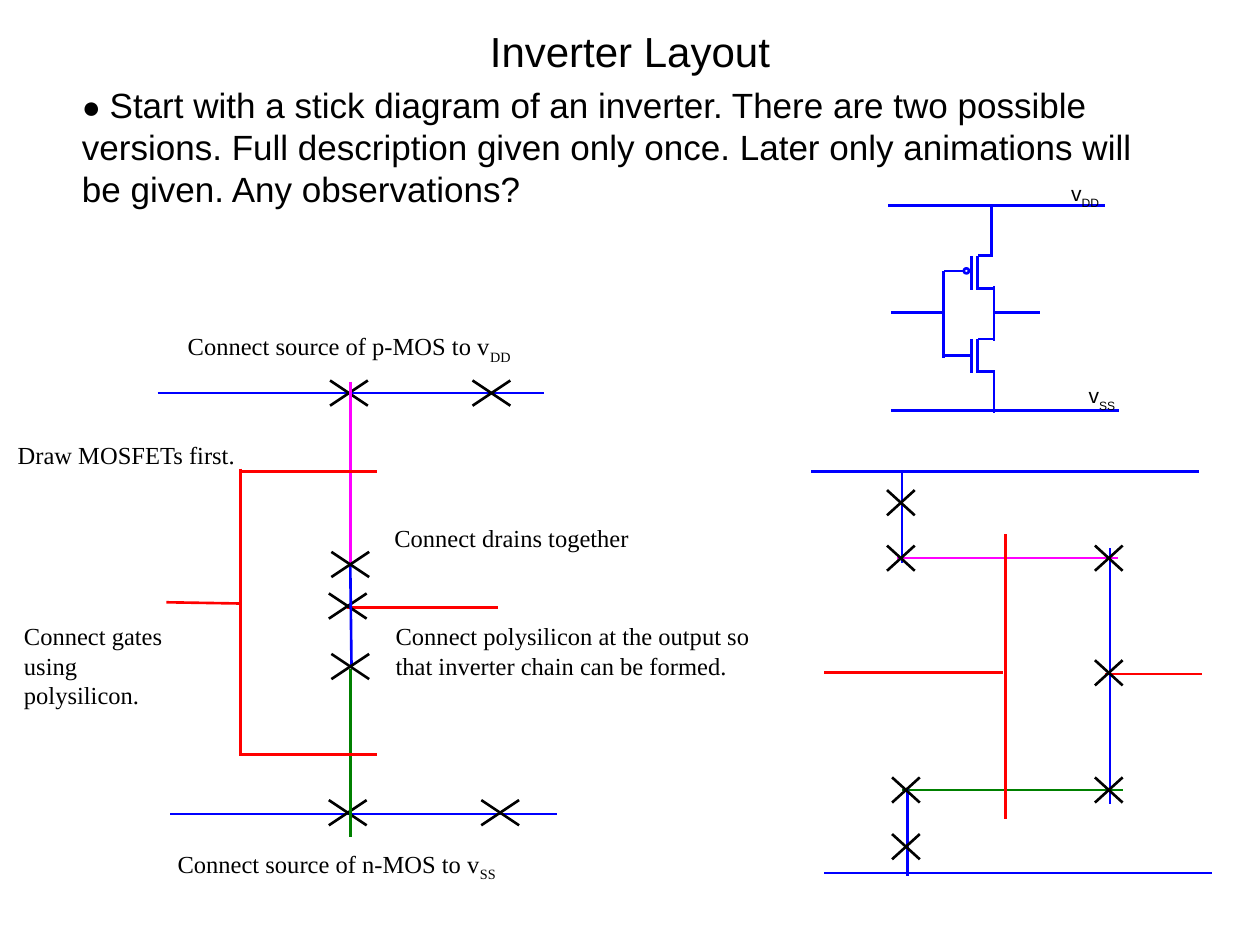
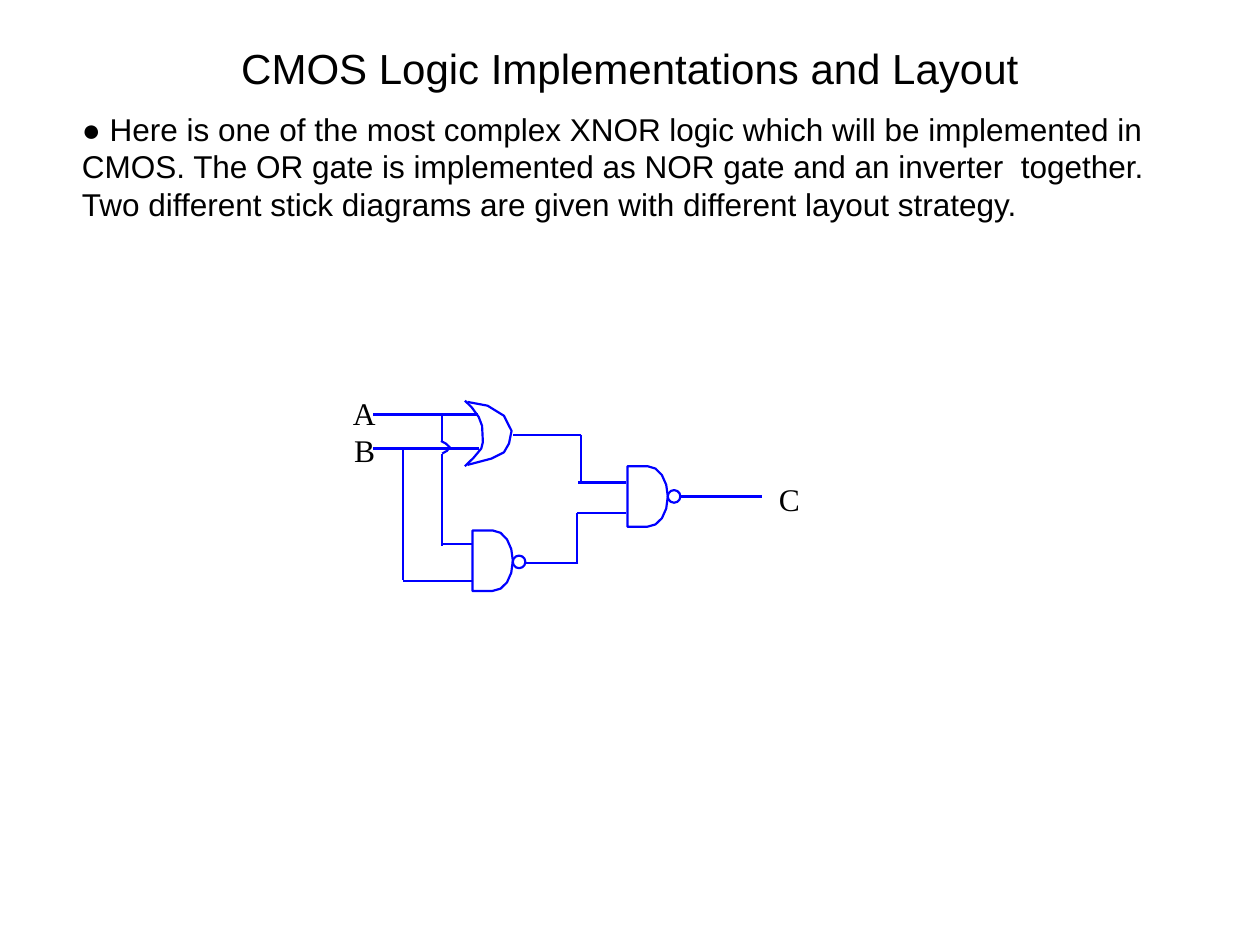
from dataclasses import dataclass

from lxml.etree import SubElement
from pptx import Presentation
from pptx.dml.color import RGBColor
from pptx.enum.shapes import MSO_CONNECTOR, MSO_SHAPE
from pptx.enum.text import MSO_ANCHOR, MSO_AUTO_SIZE, PP_ALIGN
from pptx.oxml.ns import qn
from pptx.util import Inches, Pt


@dataclass(frozen=True)
class Style:
    """Typeface, size and subscript drop of one kind of text."""

    face: str
    size: int
    drop: int = 0


@dataclass(frozen=True)
class Theme:
    """Colours, type and line weights shared by both slides."""

    black: RGBColor = RGBColor(0, 0, 0)
    white: RGBColor = RGBColor(255, 255, 255)
    metal: RGBColor = RGBColor(0, 0, 255)
    poly: RGBColor = RGBColor(255, 0, 0)
    pdiff: RGBColor = RGBColor(255, 0, 255)
    ndiff: RGBColor = RGBColor(0, 128, 0)
    title: Style = Style("Arial", 24)
    lead: Style = Style("Arial", 20)
    text: Style = Style("Arial", 18)
    rail: Style = Style("Arial", 12, -30)
    note: Style = Style("Times New Roman", 14, -25)
    port: Style = Style("Times New Roman", 18)
    stick: float = 1.5
    gate: float = 1.25


THEME = Theme()


def write(para, text, style, sub=False):
    """Add one run in a style, lowered when it is a subscript."""
    run = para.add_run()
    run.text = text
    run.font.name = style.face
    run.font.size = Pt(style.size)
    run.font.color.rgb = THEME.black
    if sub:
        run.font._element.set("baseline", str(style.drop * 1000))


def place(shape, left, top, width, height):
    """Move and size a shape in inches."""
    shape.left, shape.top = Inches(left), Inches(top)
    shape.width, shape.height = Inches(width), Inches(height)


def fill_in(shape, box, runs, align):
    """Place a placeholder and write its single paragraph."""
    place(shape, *box)
    frame = shape.text_frame
    frame.auto_size = MSO_AUTO_SIZE.NONE
    frame.vertical_anchor = MSO_ANCHOR.TOP
    para = frame.paragraphs[0]
    props = para._p.get_or_add_pPr()
    props.set("marL", "0")
    props.set("indent", "0")
    SubElement(props, qn("a:buNone"))
    para.alignment = align
    para.space_before = Pt(0)
    for text, style in runs:
        write(para, text, style)


def add_page(deck, title, top, body, body_top, height, style):
    """Add a slide with its title and bulleted statement."""
    slide = deck.slides.add_slide(deck.slide_layouts[1])
    fill_in(slide.shapes.title, (0.36, top, 9.28, 0.5),
            [(title, THEME.title)], PP_ALIGN.CENTER)
    fill_in(slide.placeholders[1], (0.55, body_top, 8.72, height),
            [("● ", THEME.text), (body, style)], PP_ALIGN.LEFT)
    return slide


def label(pen, box, lines, style, sub="", wrap=True):
    """Add a text box without margins, ending in an optional subscript."""
    frame = pen.add_textbox(*map(Inches, box)).text_frame
    frame.word_wrap = wrap
    frame.margin_left = frame.margin_right = 0
    frame.margin_top = frame.margin_bottom = 0
    for index, text in enumerate(lines):
        para = frame.add_paragraph() if index else frame.paragraphs[0]
        para.alignment = PP_ALIGN.LEFT if wrap else PP_ALIGN.CENTER
        write(para, text, style)
    if sub:
        write(para, sub, style, True)


def wires(pen, color, weight, *ends):
    """Draw straight lines, each given as x1, y1, x2, y2."""
    for end in ends:
        line = pen.add_connector(MSO_CONNECTOR.STRAIGHT, *map(Inches, end))
        line.line.color.rgb = color
        line.line.width = Pt(weight)
        SubElement(line._element.spPr, qn("a:effectLst"))


def cross(pen, wide, *spots):
    """Draw contact crosses of a half width around their centres."""
    for x, y in spots:
        wires(pen, THEME.black, THEME.stick,
              (x - wide, y + 0.1, x + wide, y - 0.1),
              (x - wide, y - 0.1, x + wide, y + 0.1))


def ink(shape, weight, solid):
    """Give an outline the metal colour and a white or empty fill."""
    shape.shadow.inherit = False
    shape.line.color.rgb = THEME.metal
    shape.line.width = Pt(weight)
    if solid:
        shape.fill.solid()
        shape.fill.fore_color.rgb = THEME.white
    else:
        shape.fill.background()


def dot(pen, x, y, size, weight):
    """Draw an inverting bubble from its left and top."""
    box = map(Inches, (x, y, size, size))
    ink(pen.add_shape(MSO_SHAPE.OVAL, *box), weight, True)


def bend(knots, steps):
    """Return points along joined cubic curves."""
    points = [knots[0]]
    for at in range(0, len(knots) - 1, 3):
        a, b, c, d = knots[at:at + 4]
        for step in range(1, steps + 1):
            t = step / steps
            u = 1 - t
            points.append(tuple(
                u**3 * p + 3 * u * u * t * q + 3 * u * t * t * r + t**3 * s
                for p, q, r, s in zip(a, b, c, d)))
    return points


def trace(pen, points, close=False):
    """Draw a freeform through points."""
    spots = [(Inches(x), Inches(y)) for x, y in points]
    form = pen.build_freeform(*spots[0])
    form.add_line_segments(spots[1:], close=close)
    ink(form.convert_to_shape(), THEME.gate, close)


def nand(pen, x, y, drop):
    """Draw a NAND gate with its bubble a drop below the top."""
    knots = [(0.16, 0), (0.25, 0), (0.32, 0.11), (0.32, 0.24),
             (0.32, 0.38), (0.25, 0.48), (0.16, 0.48)]
    curve = bend([(x + dx, y + dy) for dx, dy in knots], 4)
    trace(pen, curve + [(x, y + 0.48), (x, y)], True)
    dot(pen, x + 0.32, y + drop, 0.1, THEME.gate)


def fet(pen, y):
    """Draw the channel, gate bar and leads of one transistor."""
    wires(pen, THEME.metal, THEME.stick,
          (7.88, y, 7.76, y), (7.76, y, 7.76, y + 0.27),
          (7.88, y + 0.26, 7.76, y + 0.26), (7.71, y, 7.71, y + 0.27))


def circuit(pen):
    """Draw the transistor circuit of the inverter."""
    wires(pen, THEME.metal, THEME.stick,
          (7.05, 1.63, 8.77, 1.63), (7.87, 1.62, 7.87, 2.04),
          (7.89, 2.27, 7.89, 2.71), (7.89, 2.94, 7.89, 3.28),
          (7.07, 3.26, 8.88, 3.26), (7.64, 2.15, 7.49, 2.15),
          (7.49, 2.15, 7.49, 2.84), (7.49, 2.82, 7.71, 2.82),
          (7.49, 2.48, 7.07, 2.48), (7.89, 2.48, 8.25, 2.48))
    for y in (2.03, 2.69):
        fet(pen, y)
    dot(pen, 7.65, 2.13, 0.04, THEME.stick)
    label(pen, (8.5, 1.43, 0.25, 0.17), ["v"], THEME.rail, "DD")
    label(pen, (8.64, 3.04, 0.25, 0.17), ["v"], THEME.rail, "SS")


def upright(pen):
    """Draw the stick diagram with vertical diffusion."""
    wide = THEME.stick
    wires(pen, THEME.poly, wide, (2.75, 4.82, 3.95, 4.82))
    wires(pen, THEME.metal, wide, (1.25, 3.12, 4.32, 3.12),
          (1.35, 6.46, 4.42, 6.46))
    cross(pen, 0.15, (2.77, 3.12), (3.9, 3.12), (2.76, 4.81),
          (2.76, 6.45), (3.97, 6.45))
    wires(pen, THEME.pdiff, wide, (2.78, 3.03, 2.78, 4.49))
    wires(pen, THEME.ndiff, wide, (2.78, 6.64, 2.78, 5.31))
    wires(pen, THEME.poly, wide, (2.99, 3.74, 1.9, 3.74),
          (2.99, 5.99, 1.9, 5.99), (1.91, 3.72, 1.91, 5.99),
          (1.91, 4.79, 1.32, 4.78))
    wires(pen, THEME.metal, wide, (2.78, 4.48, 2.79, 5.29))
    cross(pen, 0.15, (2.78, 4.48), (2.78, 5.29))
    notes = [
        ((1.49, 2.63, 3, 0.31), ["Connect source of p-MOS to v"], "DD"),
        ((1.41, 6.74, 3, 0.31), ["Connect source of n-MOS to v"], "SS"),
        ((3.13, 4.15, 2.03, 0.31), ["Connect drains together"], ""),
        ((3.14, 4.93, 3, 0.52), ["Connect polysilicon at the output so "
                                 "that inverter chain can be formed."], ""),
        ((0.14, 3.49, 1.81, 0.37), ["Draw MOSFETs first."], ""),
        ((0.19, 4.93, 1.38, 0.55),
         ["Connect gates", "using polysilicon."], ""),
    ]
    for box, lines, sub in notes:
        label(pen, box, lines, THEME.note, sub)


def level(pen):
    """Draw the stick diagram with horizontal diffusion."""
    wide = THEME.stick
    wires(pen, THEME.pdiff, wide, (7.12, 4.43, 8.87, 4.43))
    wires(pen, THEME.ndiff, wide, (7.16, 6.27, 8.91, 6.27))
    wires(pen, THEME.poly, wide, (7.98, 4.24, 7.98, 6.5),
          (7.96, 5.34, 6.54, 5.34), (8.77, 5.35, 9.54, 5.35))
    wires(pen, THEME.metal, wide, (6.44, 3.74, 9.52, 3.74),
          (7.16, 3.74, 7.16, 4.47), (6.54, 6.93, 9.62, 6.93),
          (7.2, 6.26, 7.2, 6.95), (8.81, 4.35, 8.81, 6.38))
    cross(pen, 0.11, (7.15, 3.99), (7.15, 4.43), (7.19, 6.27), (7.19, 6.72),
          (8.8, 4.43), (8.8, 5.34), (8.8, 6.27))


def logic(pen):
    """Draw the XNOR gate network."""
    nand(pen, 3.75, 4.21, 0.2)
    nand(pen, 4.98, 3.7, 0.19)
    wires(pen, THEME.metal, THEME.gate,
          (3.79, 3.29, 2.96, 3.29), (3.8, 3.56, 2.96, 3.56),
          (4.61, 3.45, 4.07, 3.45), (4.61, 3.45, 4.61, 3.83),
          (4.97, 3.83, 4.59, 3.83), (4.97, 4.07, 4.58, 4.07),
          (4.58, 4.07, 4.58, 4.47), (4.59, 4.47, 4.17, 4.47),
          (3.75, 4.32, 3.51, 4.32), (3.51, 4.33, 3.51, 3.6),
          (3.51, 3.51, 3.51, 3.3), (3.75, 4.61, 3.2, 4.61),
          (3.2, 4.6, 3.2, 3.55), (5.4, 3.94, 6.05, 3.94))
    front = [(3.71, 3.19), (3.74, 3.19), (3.82, 3.2), (3.87, 3.22),
             (3.92, 3.24), (3.97, 3.26), (4, 3.3), (4.03, 3.33),
             (4.05, 3.38), (4.06, 3.42), (4.06, 3.45), (4.05, 3.49),
             (4.04, 3.52), (4.03, 3.55), (4.03, 3.57), (4, 3.59),
             (3.98, 3.61), (3.95, 3.63), (3.9, 3.64), (3.85, 3.66),
             (3.75, 3.68), (3.71, 3.69)]
    back = [(3.69, 3.18), (3.71, 3.2), (3.78, 3.26), (3.8, 3.31),
            (3.83, 3.35), (3.83, 3.41), (3.83, 3.45), (3.83, 3.5),
            (3.84, 3.52), (3.82, 3.56), (3.8, 3.6), (3.72, 3.67),
            (3.69, 3.7)]
    hop = [(3.51, 3.6), (3.52, 3.59), (3.58, 3.57), (3.57, 3.55),
           (3.57, 3.53), (3.51, 3.51), (3.5, 3.5)]
    for knots, steps in ((front, 1), (back, 2), (hop, 2)):
        trace(pen, bend(knots, steps))
    for name, x, y in (("A", 2.8, 3.13), ("B", 2.81, 3.42), ("C", 6.18, 3.81)):
        label(pen, (x, y, 0.17, 0.3), [name], THEME.port, wrap=False)


def main():
    """Build both slides and save the deck."""
    deck = Presentation()
    deck.slide_width, deck.slide_height = Inches(10), Inches(7.5)
    first = add_page(
        deck, "Inverter Layout", 0.15,
        "Start with a stick diagram of an inverter. There are two possible "
        "versions. Full description given only once. Later only animations "
        "will be given. Any observations?", 0.61, 1.1, THEME.lead)
    for draw in (circuit, upright, level):
        draw(first.shapes.add_group_shape().shapes)
    second = add_page(
        deck, "CMOS Logic Implementations and Layout", 0.29,
        "Here is one of the most complex XNOR logic which will be "
        "implemented in CMOS. The OR gate is implemented as NOR gate and an "
        "inverter  together. Two different stick diagrams are given with "
        "different layout strategy.", 0.82, 1, THEME.text)
    logic(second.shapes.add_group_shape().shapes)
    deck.save("out.pptx")


if __name__ == "__main__":
    main()
